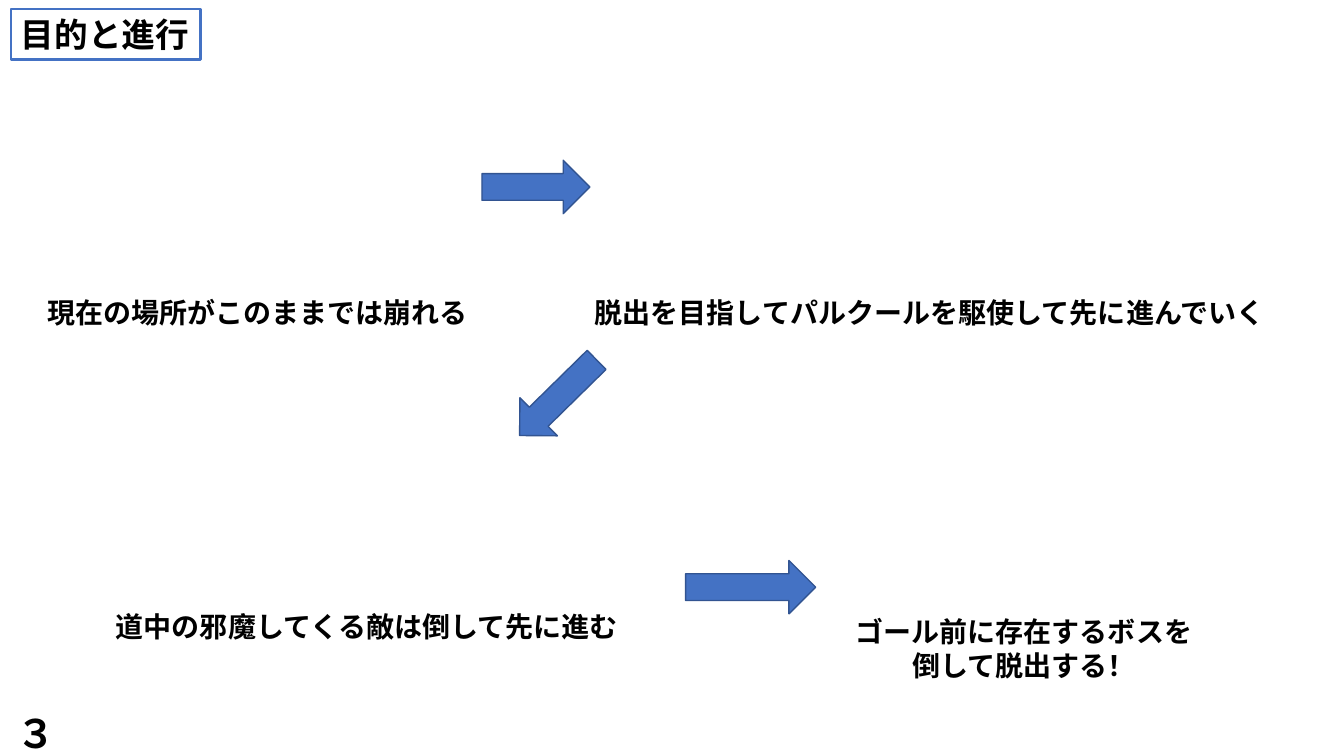
from pptx import Presentation
from pptx.dml.color import RGBColor
from pptx.enum.shapes import MSO_SHAPE as Shape
from pptx.enum.text import MSO_AUTO_SIZE as Fit, PP_ALIGN as Align
from pptx.oxml import parse_xml
from pptx.oxml.ns import nsdecls
from pptx.util import Inches, Pt

BLUE = RGBColor(0x44, 0x72, 0xC4)
NAVY = RGBColor(0x32, 0x54, 0x91)
BLACK = RGBColor(0, 0, 0)
FONT = "Noto Sans CJK JP"


def place(box, share):
    """Turn percentages of a box into left, top, width, height."""
    left, top, wide, high = box
    x, y, w, h = share
    return (int(left + wide * x / 100), int(top + high * y / 100),
            int(wide * w / 100), int(high * h / 100))


def write(shape, text, size, align=Align.LEFT):
    frame = shape.text_frame
    frame.text = text
    frame.word_wrap = False
    frame.auto_size = Fit.SHAPE_TO_FIT_TEXT
    for para in frame.paragraphs:
        para.alignment = align
        for run in para.runs:
            font = run.font
            font.name, font.size, font.bold = FONT, Pt(size), True
            font.color.rgb = BLACK
            # Japanese glyphs take the East Asian typeface
            font._element.find("{*}latin").addnext(
                parse_xml(f'<a:ea {nsdecls("a")} typeface="{FONT}"/>'))


def label(slide, box, share, text, size, align=Align.LEFT):
    shape = slide.shapes.add_textbox(*place(box, share))
    write(shape, text, size, align)
    return shape


def arrow(slide, box, share, turn=0):
    shape = slide.shapes.add_shape(Shape.RIGHT_ARROW, *place(box, share))
    shape.shadow.inherit = False
    shape.rotation = turn
    shape.fill.solid()
    shape.fill.fore_color.rgb = BLUE
    shape.line.color.rgb = NAVY
    shape.line.width = Pt(1)


def frame_page(slide, box):
    # Outlined title and page number
    title = label(slide, box, (0.82, 1.2, 14.1, 6.67), "目的と進行", 24)
    title.line.color.rgb = BLUE
    title.line.width = Pt(1.5)
    label(slide, box, (0.53, 93.2, 4.43, 7.6), "３", 28)


def flow_row(slide, box, steps, link):
    # Captions of one row and the arrow between them
    for text, share, align in steps:
        label(slide, box, share, text, 20, align)
    arrow(slide, box, link)


def main():
    deck = Presentation()
    deck.slide_width, deck.slide_height = Inches(13.33), Inches(7.5)
    slide = deck.slides.add_slide(deck.slide_layouts[6])
    wide, high = deck.slide_width, deck.slide_height
    page = (0, 0, wide, high)
    half = high // 2

    frame_page(slide, page)
    # Upper half: the threat and the escape
    flow_row(slide, (0, 0, wide, half), [
        ("現在の場所がこのままでは崩れる", (2.78, 76.8, 33.08, 11.73), Align.LEFT),
        ("脱出を目指してパルクールを駆使して先に進んでいく",
         (43.51, 76.8, 51.99, 11.73), Align.LEFT),
    ], (35.86, 42.4, 8.03, 14.13))
    # Lower half: the enemies and the boss
    flow_row(slide, (0, half, wide, half), [
        ("道中の邪魔してくる敵は倒して先に進む", (7.88, 60, 39.38, 11.73), Align.LEFT),
        ("ゴール前に存在するボスを\n倒して脱出する！",
         (62.79, 61.33, 26.78, 20.53), Align.CENTER),
    ], (51.01, 48.27, 9.68, 14.13))
    # Diagonal arrow from the upper half to the lower
    arrow(slide, page, (37.51, 49.07, 8.03, 7.07), 135.5)
    deck.save("out.pptx")


if __name__ == "__main__":
    main()
